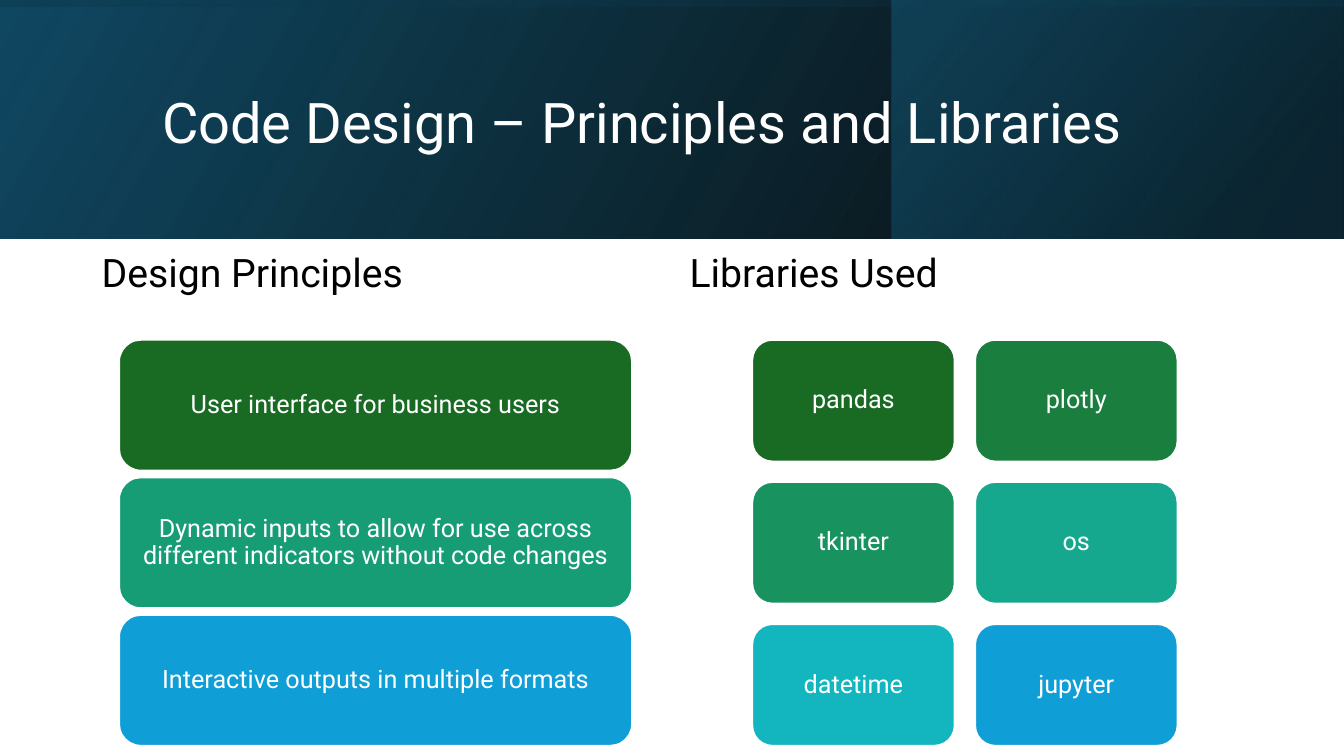
from lxml import etree
from pptx import Presentation
from pptx.dml.color import RGBColor
from pptx.enum.shapes import MSO_SHAPE
from pptx.enum.text import MSO_ANCHOR, PP_ALIGN
from pptx.oxml.ns import qn
from pptx.util import Inches, Pt

RECTANGLE = MSO_SHAPE.RECTANGLE
ROUNDED = MSO_SHAPE.ROUNDED_RECTANGLE
ALTERNATE = MSO_SHAPE.FLOWCHART_ALTERNATE_PROCESS
TOP, MIDDLE = MSO_ANCHOR.TOP, MSO_ANCHOR.MIDDLE
LEFT, CENTER = PP_ALIGN.LEFT, PP_ALIGN.CENTER

SLIDE_WIDTH, SLIDE_HEIGHT = 13.33, 7.5
BANNER_HEIGHT = 2.37
GRID_TOP, GRID_BOTTOM = 3.37, 7.4
FONT = "Roboto"

COLORS = {
    "white": "FFFFFF", "black": "000000",
    "navy": "104862", "deep": "0B3041", "petrol": "156082",
    "forest": "196B24", "green": "197E3E", "emerald": "189360",
    "jade": "179D76", "teal": "16A88E", "cyan": "13B6BE", "blue": "0F9ED5",
}

# Box, rotation, gradient angle (counter-clockwise), stops: position, colour, opacity
BANNER_LAYERS = [
    ((0, 0, SLIDE_WIDTH, BANNER_HEIGHT), 0, 30,
     [(0, "black", 96), (100, "navy", 100)]),
    ((8.84, 0, 4.48, BANNER_HEIGHT), 0, 40,
     [(19, "deep", 68), (100, "petrol", 48)]),
    ((5.48, -5.48, BANNER_HEIGHT, SLIDE_WIDTH), 270, 10,
     [(23, "navy", 16), (99, "black", 45)]),
]

PRINCIPLES = [
    ("User interface for business users", "forest"),
    ("Dynamic inputs to allow for use across different indicators "
     "without code changes", "jade"),
    ("Interactive outputs in multiple formats", "blue"),
]
LIBRARIES = [
    ("pandas", "forest"), ("plotly", "green"),
    ("tkinter", "emerald"), ("os", "teal"),
    ("datetime", "cyan"), ("jupyter", "blue"),
]


def color(name):
    return RGBColor.from_string(COLORS[name])


def apply_format(target, values):
    for name, value in values.items():
        setattr(target, name, value)


def add_shape(slide, kind, box):
    shape = slide.shapes.add_shape(kind, *map(Inches, box))
    shape.shadow.inherit = False
    return shape


def write_text(shape, text, size, color_name, frame_format, paragraph_format):
    frame = shape.text_frame
    apply_format(frame, {"word_wrap": True, **frame_format})
    paragraph = frame.paragraphs[0]
    apply_format(paragraph, {"line_spacing": 0.9, **paragraph_format})
    run = paragraph.add_run()
    run.text = text
    apply_format(run.font, {"name": FONT, "size": Pt(size)})
    run.font.color.rgb = color(color_name)


def add_banner_layer(slide, box, rotation, angle, stops):
    shape = add_shape(slide, RECTANGLE, box)
    shape.rotation = rotation
    shape.element.spPr.find(qn("a:xfrm")).set("flipH", "1")
    shape.line.fill.background()
    shape.fill.gradient()
    shape.fill.gradient_angle = angle
    for stop, (position, name, opacity) in zip(shape.fill.gradient_stops, stops):
        stop.position = position / 100
        stop.color.rgb = color(name)
    # Opacity sits inside each stop's colour element
    color_elements = shape.element.spPr.iter(qn("a:srgbClr"))
    for element, (position, name, opacity) in zip(color_elements, stops):
        etree.SubElement(element, qn("a:alpha")).set("val", str(opacity * 1000))


def add_text(slide, box, text, size, color_name, anchor, space_before=0):
    text_box = slide.shapes.add_textbox(*map(Inches, box))
    write_text(text_box, text, size, color_name, {"vertical_anchor": anchor},
               {"alignment": LEFT, "space_before": Pt(space_before)})


def add_card_grid(slide, kind, cards, left, columns, width, height,
                  column_gap, vertical_margin):
    rows = len(cards) // columns
    row_gap = (GRID_BOTTOM - GRID_TOP - rows * height) / (rows - 1)
    frame_format = {
        "vertical_anchor": MIDDLE,
        "margin_left": Inches(0.07), "margin_right": Inches(0.07),
        "margin_top": Inches(vertical_margin),
        "margin_bottom": Inches(vertical_margin),
    }
    for index, (text, fill_name) in enumerate(cards):
        row, column = divmod(index, columns)
        card = add_shape(slide, kind, (left + column * (width + column_gap),
                                       GRID_TOP + row * (height + row_gap),
                                       width, height))
        card.fill.solid()
        card.fill.fore_color.rgb = color(fill_name)
        card.line.color.rgb = color("white")
        card.line.width = Pt(1.5)
        write_text(card, text, 18, "white", frame_format, {"alignment": CENTER})


def main():
    presentation = Presentation()
    presentation.slide_width = Inches(SLIDE_WIDTH)
    presentation.slide_height = Inches(SLIDE_HEIGHT)
    slide = presentation.slides.add_slide(presentation.slide_layouts[6])

    # Banner and title
    for layer in BANNER_LAYERS:
        add_banner_layer(slide, *layer)
    add_text(slide, (1.51, 0.38, 10.63, 1.72),
             "Code Design – Principles and Libraries", 40, "white", MIDDLE)

    # Column headings
    for left, heading in ((0.91, "Design Principles"), (6.74, "Libraries Used")):
        add_text(slide, (left, 2.47, 5.65, 0.9), heading, 28, "black", TOP, 10)

    # Card grids
    add_card_grid(slide, ALTERNATE, LIBRARIES, left=7.46, columns=2, width=2.01,
                  height=1.21, column_gap=0.2, vertical_margin=0.07)
    add_card_grid(slide, ROUNDED, PRINCIPLES, left=1.18, columns=1, width=5.09,
                  height=1.3, column_gap=0, vertical_margin=0.04)

    presentation.save("out.pptx")


if __name__ == "__main__":
    main()
